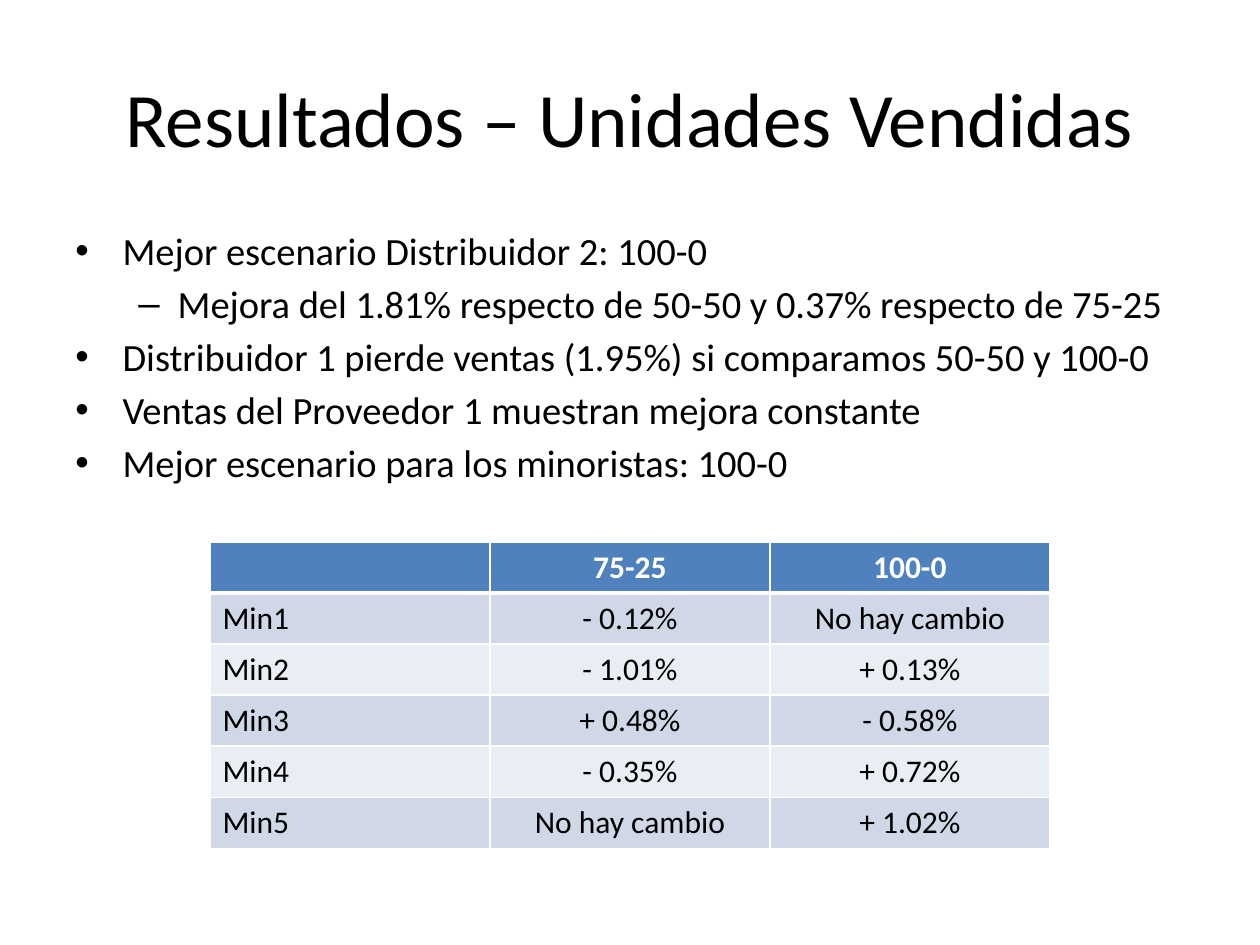
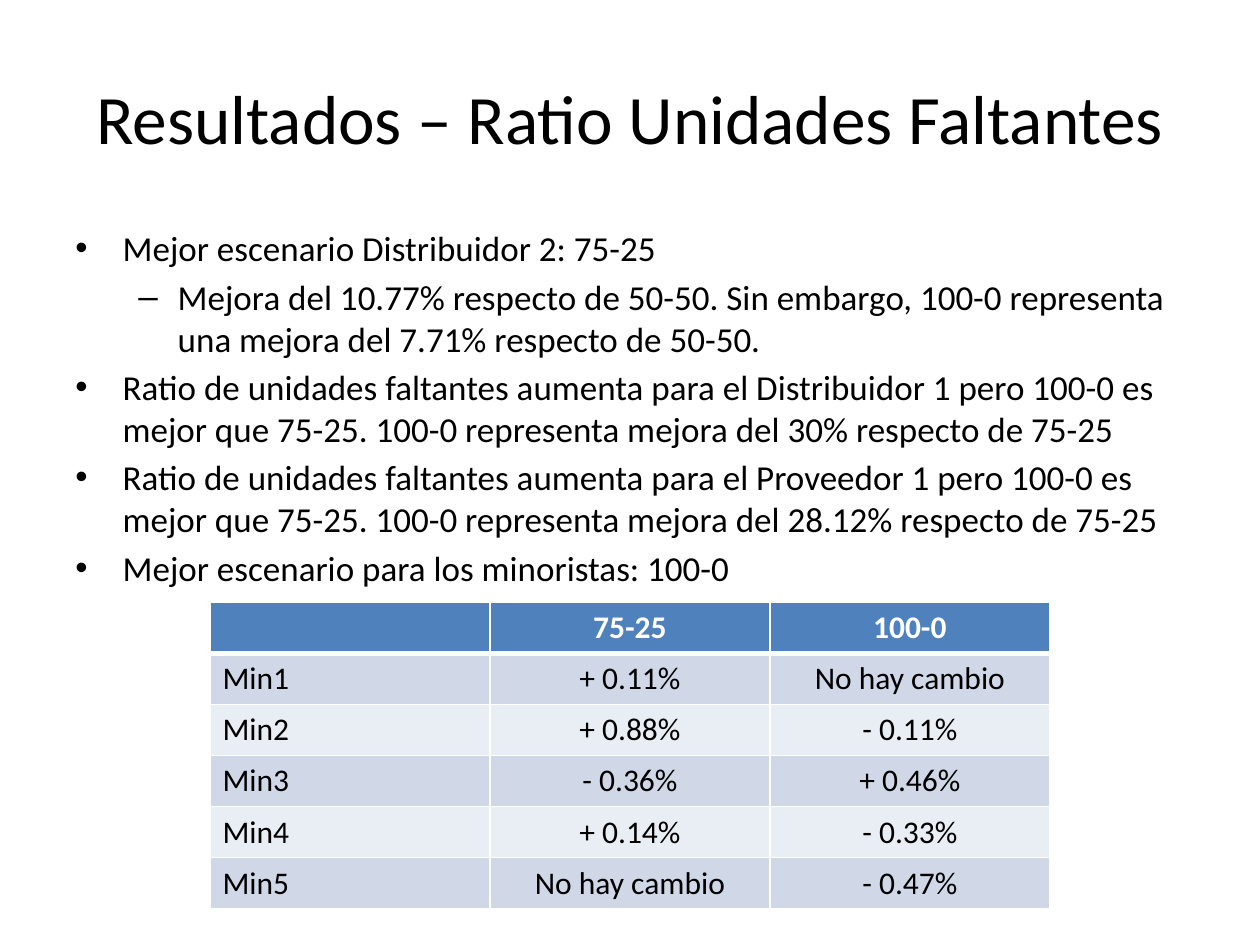
from lxml import etree
from pptx import Presentation
from pptx.dml.color import RGBColor
from pptx.enum.text import MSO_ANCHOR, PP_ALIGN
from pptx.oxml.ns import qn
from pptx.util import Pt

LEFT, CENTER = PP_ALIGN.LEFT, PP_ALIGN.CENTER
TOP, MIDDLE = MSO_ANCHOR.TOP, MSO_ANCHOR.MIDDLE

BLACK = RGBColor(0x00, 0x00, 0x00)
WHITE = RGBColor(0xFF, 0xFF, 0xFF)
HEADER_BLUE = RGBColor(0x4F, 0x81, 0xBD)
BAND_DARK = RGBColor(0xD0, 0xD8, 0xE8)
BAND_LIGHT = RGBColor(0xE9, 0xED, 0xF4)
FONT = "Calibri"

# Boxes in points: left, top, width, height
TITLE_BOX = (36, 21.6, 648, 90)
FINDINGS_BOX = (36, 126, 648, 356.4)
TABLE_LEFT, TABLE_WIDTH, ROW_HEIGHT = 120, 480, 29.2

# Bullet, left margin and hanging indent of each outline level
LEVELS = [("•", 27, 27), ("–", 58.5, 22.5)]
SPACE_BEFORE = 0.18  # share of the text size

HEADINGS = ["", "75-25", "100-0"]
RESULTS = [
    {
        "title": "Resultados – Unidades Vendidas",
        "title_size": 44,
        "findings_size": 22,
        "findings": [
            (0, "Mejor escenario Distribuidor 2: 100-0"),
            (1, "Mejora del 1.81% respecto de 50-50 y 0.37% respecto de 75-25"),
            (0, "Distribuidor 1 pierde ventas (1.95%) si comparamos 50-50 y 100-0"),
            (0, "Ventas del Proveedor 1 muestran mejora constante"),
            (0, "Mejor escenario para los minoristas: 100-0"),
        ],
        "table_top": 309.6,
        "retailers": [
            ("Min1", "- 0.12%", "No hay cambio"),
            ("Min2", "- 1.01%", "+ 0.13%"),
            ("Min3", "+ 0.48%", "- 0.58%"),
            ("Min4", "- 0.35%", "+ 0.72%"),
            ("Min5", "No hay cambio", "+ 1.02%"),
        ],
    },
    {
        "title": "Resultados – Ratio Unidades Faltantes",
        "title_size": 39.6,
        "findings_size": 20,
        "findings": [
            (0, "Mejor escenario Distribuidor 2: 75-25"),
            (1, "Mejora del 10.77% respecto de 50-50. Sin embargo, 100-0 "
                "representa una mejora del 7.71% respecto de 50-50."),
            (0, "Ratio de unidades faltantes aumenta para el Distribuidor 1 pero "
                "100-0 es mejor que 75-25. 100-0 representa mejora del 30% "
                "respecto de 75-25"),
            (0, "Ratio de unidades faltantes aumenta para el Proveedor 1 pero "
                "100-0 es mejor que 75-25. 100-0 representa mejora del 28.12% "
                "respecto de 75-25"),
            (0, "Mejor escenario para los minoristas: 100-0"),
        ],
        "table_top": 344.16,
        "retailers": [
            ("Min1", "+ 0.11%", "No hay cambio"),
            ("Min2", "+ 0.88%", "- 0.11%"),
            ("Min3", "- 0.36%", "+ 0.46%"),
            ("Min4", "+ 0.14%", "- 0.33%"),
            ("Min5", "No hay cambio", "- 0.47%"),
        ],
    },
]


def write(paragraph, text, size, color=BLACK, bold=False, align=LEFT):
    paragraph.alignment = align
    if not text:
        return
    run = paragraph.add_run()
    run.text = text
    font_format = {"name": FONT, "size": Pt(size), "bold": bold}
    for attribute, value in font_format.items():
        setattr(run.font, attribute, value)
    run.font.color.rgb = color


def add_text_frame(slide, box, anchor):
    frame = slide.shapes.add_textbox(*map(Pt, box)).text_frame
    frame.word_wrap = True
    frame.vertical_anchor = anchor
    return frame


def add_title(slide, box, title, size):
    frame = add_text_frame(slide, box, MIDDLE)
    write(frame.paragraphs[0], title, size, align=CENTER)


def set_bullet(paragraph, level):
    mark, margin, hanging = LEVELS[level]
    properties = paragraph._p.get_or_add_pPr()
    properties.set("marL", str(Pt(margin)))
    properties.set("indent", str(-Pt(hanging)))
    etree.SubElement(properties, qn("a:buFont"), typeface="Arial")
    etree.SubElement(properties, qn("a:buChar"), char=mark)
    paragraph.level = level


def add_findings(slide, box, findings, size):
    frame = add_text_frame(slide, box, TOP)
    for index, (level, finding) in enumerate(findings):
        paragraph = frame.add_paragraph() if index else frame.paragraphs[0]
        set_bullet(paragraph, level)
        if index:
            paragraph.space_before = Pt(SPACE_BEFORE * size)
        write(paragraph, finding, size)


def set_borders(cell, row):
    # A thicker rule separates the header from the body
    widths = {"L": 1, "R": 1, "T": 3 if row == 1 else 1, "B": 3 if row == 0 else 1}
    properties = cell._tc.get_or_add_tcPr()
    for side, width in widths.items():
        line = etree.SubElement(properties, qn(f"a:ln{side}"), w=str(Pt(width)))
        fill = etree.SubElement(line, qn("a:solidFill"))
        etree.SubElement(fill, qn("a:srgbClr"), val=str(WHITE))


def add_retailer_table(slide, box, retailers):
    rows = [HEADINGS, *retailers]
    left, top, width, height = map(Pt, box)
    table = slide.shapes.add_table(
        len(rows), len(HEADINGS), left, top, width, height).table
    for row, values in enumerate(rows):
        header = row == 0
        band = HEADER_BLUE if header else BAND_DARK if row % 2 else BAND_LIGHT
        for column, value in enumerate(values):
            cell = table.cell(row, column)
            cell.vertical_anchor = MIDDLE
            set_borders(cell, row)
            cell.fill.solid()
            cell.fill.fore_color.rgb = band
            write(cell.text_frame.paragraphs[0], value, 18,
                  WHITE if header else BLACK, header, CENTER if column else LEFT)


def add_results_slide(deck, result):
    slide = deck.slides.add_slide(deck.slide_layouts[6])
    add_title(slide, TITLE_BOX, result["title"], result["title_size"])
    add_findings(slide, FINDINGS_BOX, result["findings"], result["findings_size"])
    table_height = ROW_HEIGHT * (len(result["retailers"]) + 1)
    table_box = (TABLE_LEFT, result["table_top"], TABLE_WIDTH, table_height)
    add_retailer_table(slide, table_box, result["retailers"])


def main():
    deck = Presentation()
    deck.slide_width, deck.slide_height = Pt(720), Pt(540)
    for result in RESULTS:
        add_results_slide(deck, result)
    deck.save("out.pptx")


if __name__ == "__main__":
    main()
